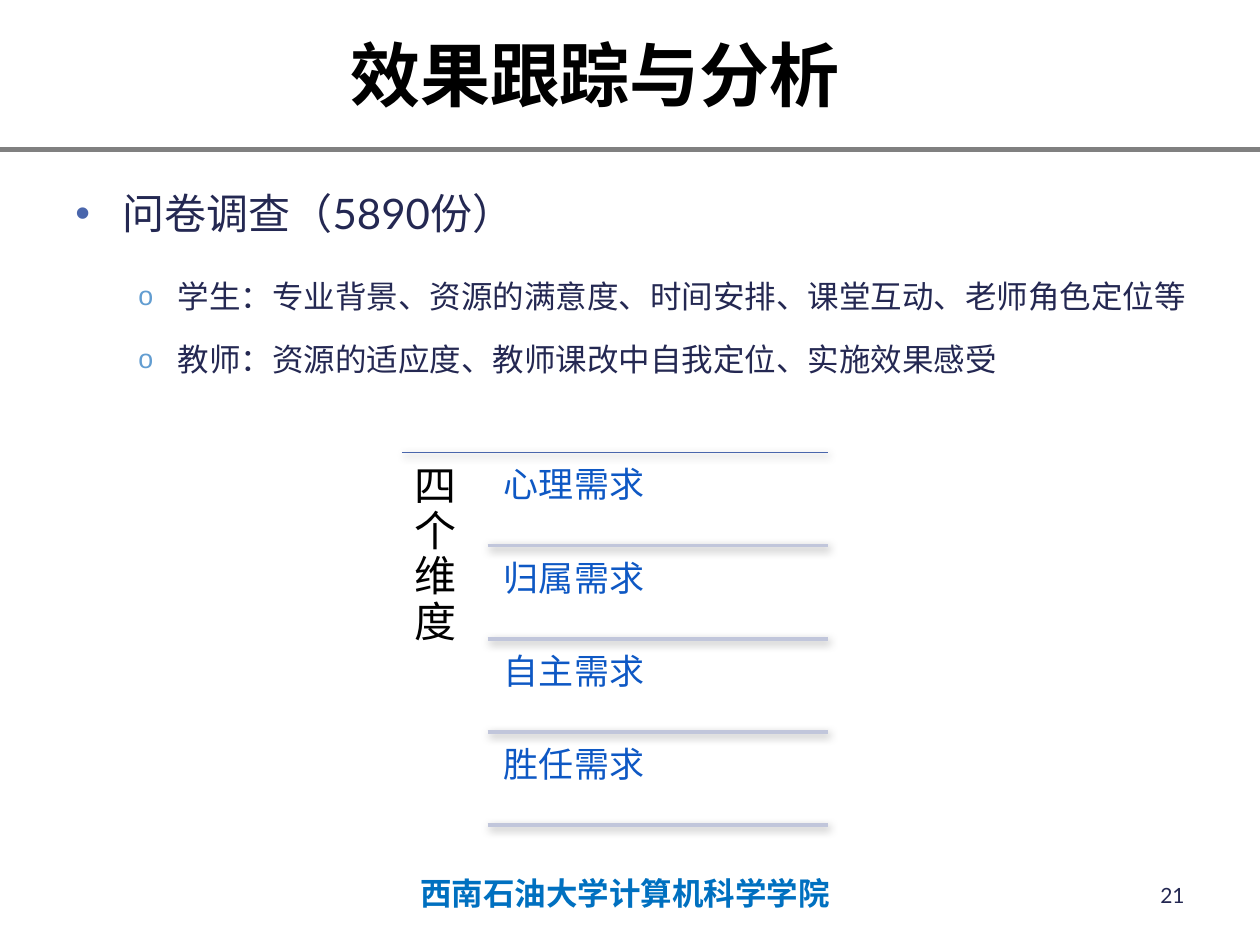
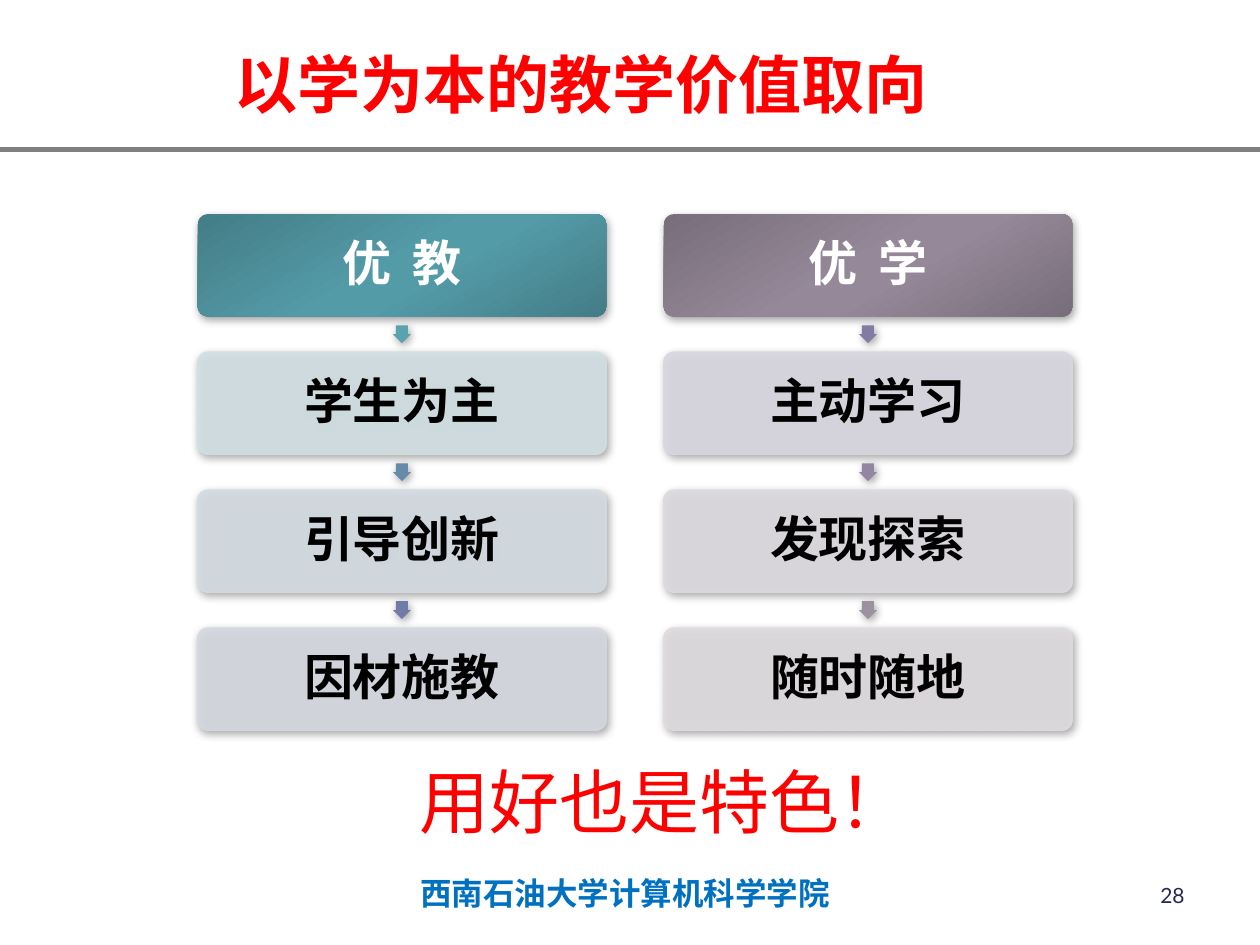
from lxml import etree
from pptx import Presentation
from pptx.dml.color import RGBColor
from pptx.enum.shapes import MSO_CONNECTOR, MSO_SHAPE
from pptx.enum.text import MSO_ANCHOR, MSO_AUTO_SIZE, PP_ALIGN
from pptx.oxml.ns import qn
from pptx.util import Pt

STRAIGHT = MSO_CONNECTOR.STRAIGHT
ROUNDED, DOWN_ARROW = MSO_SHAPE.ROUNDED_RECTANGLE, MSO_SHAPE.DOWN_ARROW
TOP, MIDDLE = MSO_ANCHOR.TOP, MSO_ANCHOR.MIDDLE
LEFT, CENTER, RIGHT = PP_ALIGN.LEFT, PP_ALIGN.CENTER, PP_ALIGN.RIGHT

BLACK = RGBColor(0x00, 0x00, 0x00)
WHITE = RGBColor(0xFF, 0xFF, 0xFF)
RED = RGBColor(0xFF, 0x00, 0x00)
GRAY = RGBColor(0x80, 0x80, 0x80)
NAVY = RGBColor(0x24, 0x28, 0x52)
FOOTER_BLUE = RGBColor(0x00, 0x70, 0xC0)
NEED_BLUE = RGBColor(0x0E, 0x58, 0xC4)
ACCENT_BLUE = RGBColor(0x4A, 0x66, 0xAC)
LIGHT_BLUE = RGBColor(0x62, 0x9D, 0xD1)
DIVIDER = RGBColor(0xC1, 0xC6, 0xDB)
TEAL_EDGE, TEAL = RGBColor(0x43, 0x7D, 0x87), RGBColor(0x53, 0x9B, 0xA7)
MAUVE_EDGE, MAUVE = RGBColor(0x78, 0x6E, 0x7B), RGBColor(0x95, 0x88, 0x98)

TITLE_FONT, BODY_FONT, CHINESE_FONT = "Arial", "Lato", "Noto Sans CJK SC"

NEEDS = ["心理需求", "归属需求", "自主需求", "胜任需求"]

# Each column: left edge, header, header gradient, then (step, box colour, arrow colour)
COLUMNS = [
    (113, "优 教", (TEAL_EDGE, TEAL), [
        ("学生为主", RGBColor(0xD2, 0xE0, 0xE3), RGBColor(0x5A, 0xA2, 0xAE)),
        ("引导创新", RGBColor(0xD4, 0xDB, 0xE2), RGBColor(0x66, 0x8A, 0xAA)),
        ("因材施教", RGBColor(0xD6, 0xD8, 0xE1), RGBColor(0x71, 0x7B, 0xA7)),
    ]),
    (379.3, "优 学", (MAUVE_EDGE, MAUVE), [
        ("主动学习", RGBColor(0xD9, 0xD8, 0xE1), RGBColor(0x82, 0x7C, 0xA4)),
        ("发现探索", RGBColor(0xDD, 0xDA, 0xE0), RGBColor(0x93, 0x86, 0xA2)),
        ("随时随地", RGBColor(0xDF, 0xDB, 0xDF), RGBColor(0x9D, 0x90, 0xA0)),
    ]),
]
BOX_TOP, BOX_WIDTH, BOX_HEIGHT, BOX_PITCH = 122.4, 233.4, 58.4, 78.84
ARROW_SIZE = 10.2


def add_element(parent, tag, **attributes):
    element = etree.SubElement(parent, qn(tag))
    for name, value in attributes.items():
        element.set(name, str(value))
    return element


def format_runs(paragraph, size, color, font=BODY_FONT, bold=False):
    for run in paragraph.runs:
        run.font.size = Pt(size)
        run.font.bold = bold
        run.font.name = font
        run.font.color.rgb = color
        add_element(run.font._element, "a:ea", typeface=CHINESE_FONT)


def set_insets(text_frame, inset):
    text_frame.margin_left = text_frame.margin_right = Pt(inset)
    text_frame.margin_top = text_frame.margin_bottom = Pt(inset)


def add_shadow(shape, opacity=36):
    properties = shape._element.spPr
    effects = properties.find(qn("a:effectLst"))
    if effects is None:
        effects = add_element(properties, "a:effectLst")
    shadow = add_element(effects, "a:outerShdw", blurRad=Pt(5), dist=Pt(2),
                         dir=60 * 60000, algn="ctr", rotWithShape=0)
    color = add_element(shadow, "a:srgbClr", val=BLACK)
    add_element(color, "a:alpha", val=opacity * 1000)


def add_line(slide, left, right, top, color, width, shadow_opacity=None):
    line = slide.shapes.add_connector(STRAIGHT, Pt(left), Pt(top), Pt(right), Pt(top))
    line.line.color.rgb = color
    line.line.width = Pt(width)
    if shadow_opacity:
        add_shadow(line, shadow_opacity)
    else:
        add_element(line._element.spPr, "a:effectLst")


def add_text(slide, text, left, top, width, height, size, color, font=BODY_FONT,
             bold=False, align=LEFT, anchor=TOP, inset=None, line_spacing=None):
    box = slide.shapes.add_textbox(Pt(left), Pt(top), Pt(width), Pt(height))
    frame = box.text_frame
    frame.word_wrap = True
    frame.vertical_anchor = anchor
    if inset is not None:
        set_insets(frame, inset)
    frame.text = text
    paragraph = frame.paragraphs[0]
    paragraph.alignment = align
    paragraph.line_spacing = line_spacing
    format_runs(paragraph, size, color, font, bold)
    return box


def add_bullet(paragraph, character, color, margin, hang, percent=100):
    properties = paragraph._p.get_or_add_pPr()
    properties.set("marL", str(Pt(margin)))
    properties.set("indent", str(-Pt(hang)))
    bullet_color = add_element(properties, "a:buClr")
    add_element(bullet_color, "a:srgbClr", val=color)
    add_element(properties, "a:buSzPct", val=percent * 1000)
    add_element(properties, "a:buFont", typeface=TITLE_FONT)
    add_element(properties, "a:buChar", char=character)


def add_titled_slide(presentation, title_text, number, left, top, width, size, color):
    """Slide with title, rule, footer and page number."""
    slide = presentation.slides.add_slide(presentation.slide_layouts[5])
    title = slide.shapes.title
    title.left, title.top, title.width, title.height = Pt(left), Pt(top), Pt(width), Pt(88)
    title.text_frame.text = title_text
    title.text_frame.vertical_anchor = MIDDLE
    paragraph = title.text_frame.paragraphs[0]
    paragraph.alignment = CENTER
    format_runs(paragraph, size, color, TITLE_FONT, True)

    add_line(slide, 0, 720, 85.6, GRAY, 3)
    add_text(slide, "西南石油大学计算机科学学院", 218, 497, 278, 26.6, 18, FOOTER_BLUE,
             CHINESE_FONT, True, CENTER, MIDDLE)
    add_text(slide, number, 516, 497, 168, 28.8, 12, NAVY, align=RIGHT, anchor=MIDDLE)
    return slide


def add_survey_text(slide):
    box = add_text(slide, "问卷调查（5890份）", 36, 106.6, 659, 120, 24, NAVY, line_spacing=0.9)
    heading = box.text_frame.paragraphs[0]
    add_bullet(heading, "•", ACCENT_BLUE, 27, 27)
    heading.space_after = Pt(8)
    for text in ("学生：专业背景、资源的满意度、时间安排、课堂互动、老师角色定位等",
                 "教师：资源的适应度、教师课改中自我定位、实施效果感受"):
        paragraph = box.text_frame.add_paragraph()
        paragraph.text = text
        paragraph.level = 1
        add_bullet(paragraph, "o", LIGHT_BLUE, 58.5, 22.5, 85)
        paragraph.line_spacing = 1.5
        paragraph.space_before = Pt(3.6)
        format_runs(paragraph, 18, NAVY)


def add_needs_list(slide):
    left, right, top, pitch = 229.7, 473, 258.5, 53.25
    add_line(slide, left, right, top, ACCENT_BLUE, 0.79, 36)
    add_text(slide, "四个维度", left, top, 49, 215, 24, BLACK, inset=7.2, line_spacing=0.9)
    for index, need in enumerate(NEEDS):
        row_top = top + index * pitch
        add_text(slide, need, 282, row_top + 2.7, 191, 50.4, 20, NEED_BLUE,
                 inset=6, line_spacing=0.9)
        add_line(slide, 278.6, right, row_top + pitch, DIVIDER, 2.22, 30)


def add_plain_shape(slide, kind, left, top, width, height, adjustments):
    shape = slide.shapes.add_shape(kind, Pt(left), Pt(top), Pt(width), Pt(height))
    for index, value in enumerate(adjustments):
        shape.adjustments[index] = value
    shape.line.fill.background()
    shape.shadow.inherit = False
    add_shadow(shape)
    return shape


def add_box(slide, text, left, top, color):
    box = add_plain_shape(slide, ROUNDED, left, top, BOX_WIDTH, BOX_HEIGHT, [0.1])
    frame = box.text_frame
    frame.word_wrap = True
    frame.vertical_anchor = MIDDLE
    set_insets(frame, 4)
    frame.text = text
    paragraph = frame.paragraphs[0]
    paragraph.alignment = CENTER
    paragraph.line_spacing = 0.9
    format_runs(paragraph, 28, color, bold=True)
    return box


def add_header_box(slide, text, left, edge, middle):
    box = add_box(slide, text, left, BOX_TOP, WHITE)
    for run in box.text_frame.paragraphs[0].runs:
        run.font._element.set("spc", "300")
    box.fill.gradient()
    box.fill.gradient_angle = 300
    stops = box._element.spPr.find(qn("a:gradFill")).find(qn("a:gsLst"))
    for stop in list(stops):
        stops.remove(stop)
    for position, color in ((0, edge), (48, middle), (58, middle), (100, edge)):
        stop = add_element(stops, "a:gs", pos=position * 1000)
        add_element(stop, "a:srgbClr", val=color)


def add_step_box(slide, text, left, top, color):
    box = add_box(slide, text, left, top, BLACK)
    box.fill.solid()
    box.fill.fore_color.rgb = color
    box.line.color.rgb = color
    box.line.width = Pt(0.79)
    # Both fill and outline are 90% opaque
    properties = box._element.spPr
    for parent in (properties, properties.find(qn("a:ln"))):
        solid_color = parent.find(qn("a:solidFill")).find(qn("a:srgbClr"))
        add_element(solid_color, "a:alpha", val=90000)


def add_column(slide, left, header, gradient, steps):
    add_header_box(slide, header, left, *gradient)
    for index, (text, box_color, arrow_color) in enumerate(steps, start=1):
        top = BOX_TOP + index * BOX_PITCH
        gap = BOX_PITCH - BOX_HEIGHT
        arrow = add_plain_shape(slide, DOWN_ARROW, left + (BOX_WIDTH - ARROW_SIZE) / 2,
                                top - (gap + ARROW_SIZE) / 2, ARROW_SIZE, ARROW_SIZE,
                                [0.67, 0.5])
        arrow.fill.solid()
        arrow.fill.fore_color.rgb = arrow_color
        add_step_box(slide, text, left, top, box_color)


def main():
    presentation = Presentation()
    presentation.slide_width, presentation.slide_height = Pt(720), Pt(540)

    # Survey and the four needs
    slide = add_titled_slide(presentation, "效果跟踪与分析", "21", 36, -2, 608, 40, BLACK)
    add_survey_text(slide)
    add_needs_list(slide)

    # Teaching and learning columns
    slide = add_titled_slide(presentation, "以学为本的教学价值取向", "28", 20, 3.6, 623.5, 36, RED)
    for column in COLUMNS:
        add_column(slide, *column)
    slogan = add_text(slide, "用好也是特色！", 232.6, 430, 297.4, 55.4, 40, RED)
    slogan.text_frame.word_wrap = False
    slogan.text_frame.auto_size = MSO_AUTO_SIZE.SHAPE_TO_FIT_TEXT

    presentation.save("out.pptx")


if __name__ == "__main__":
    main()
